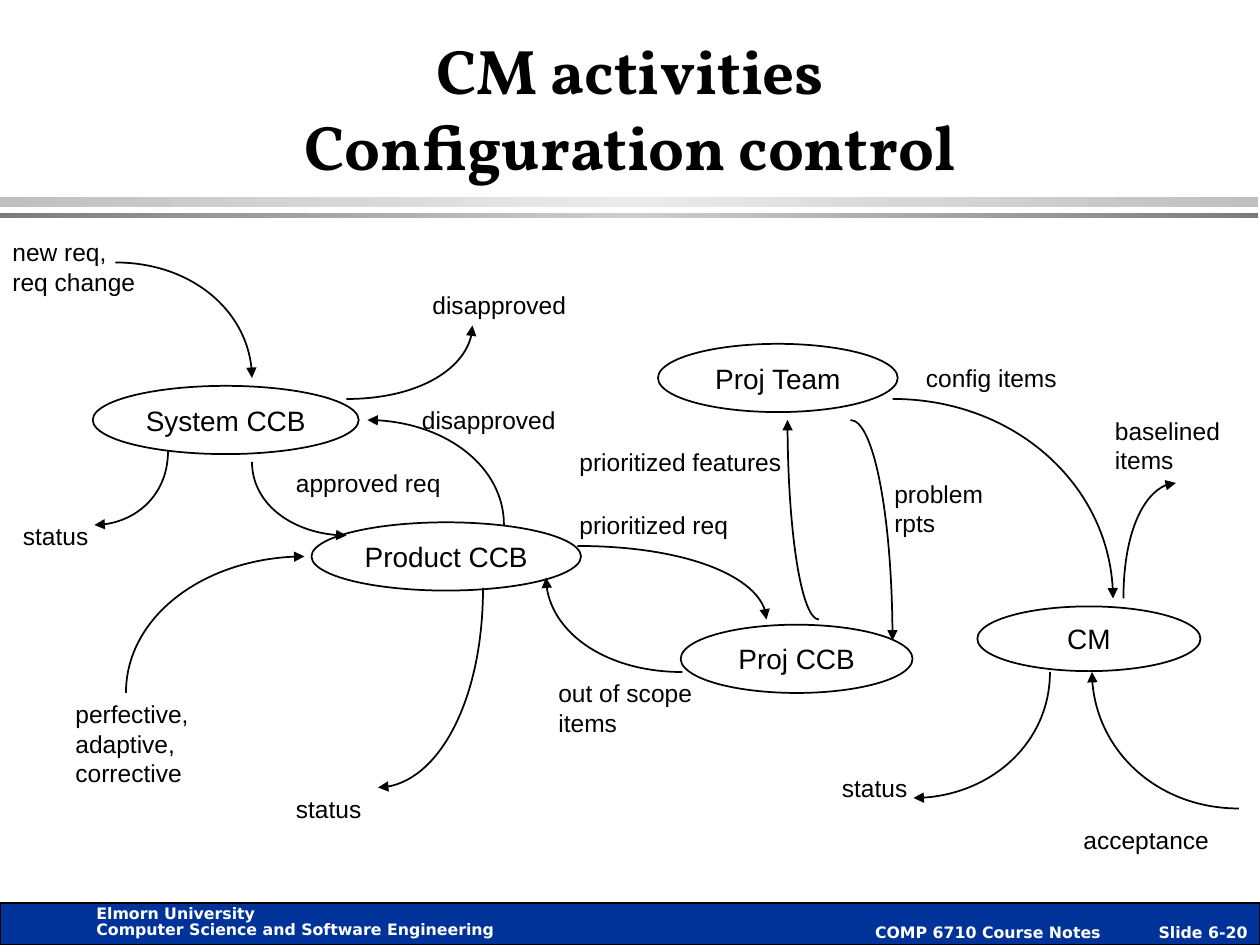
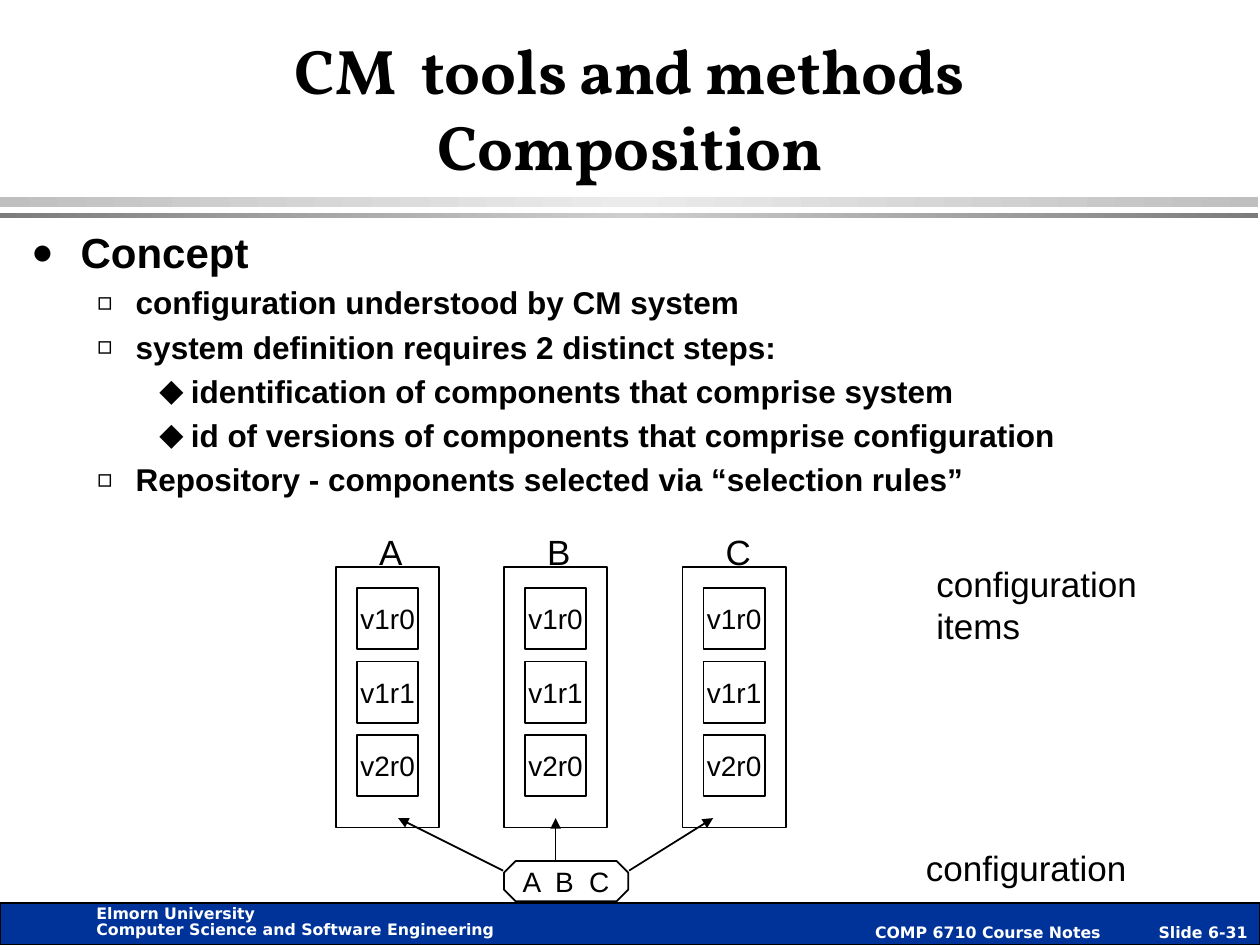
from copy import deepcopy
from dataclasses import dataclass

from lxml.etree import SubElement
from pptx import Presentation
from pptx.dml.color import RGBColor
from pptx.enum.shapes import MSO_CONNECTOR, MSO_SHAPE
from pptx.enum.text import MSO_ANCHOR, MSO_AUTO_SIZE, PP_ALIGN
from pptx.oxml.ns import qn
from pptx.util import Pt

COLORS = {
    "ink": "000000", "paper": "FFFFFF", "footer": "003399",
    "band_edge": "BFBFBF", "band_mid": "EBEBEB",
    "rule_edge": "7C7C7C", "rule_mid": "CECECE",
}
TITLE_FONT, BODY_FONT, FOOTER_FONT = "Vollkorn", "Arial", "DejaVu Sans"
BULLET_FONT = "DejaVu Sans"
KAPPA = 0.55  # Bezier handle length for a quarter ellipse


@dataclass
class Node:
    text: str
    x: float
    y: float
    w: float
    h: float = 39


@dataclass
class Label:
    text: str
    x: float
    y: float
    w: float = 132
    lines: int = 1
    size: float = 14


@dataclass
class Curve:
    """Quarter ellipse with an arrowhead at its end."""
    x1: float
    y1: float
    x2: float
    y2: float
    flat_start: bool = True


@dataclass
class Level:
    indent: float
    hanging: float
    bullet: str
    size: float
    bullet_pct: int = 100


def rgb(name: str) -> RGBColor:
    return RGBColor.from_string(COLORS[name])


# ---- Text ----
def add_text(p, text: str, *, size: float = 14, font: str = BODY_FONT,
             color: str = "ink", bold: bool = False, align=PP_ALIGN.LEFT) -> None:
    p.alignment = align
    for i, line in enumerate(text.split("\n")):
        if i:
            p.add_line_break()
        r = p.add_run()
        r.text = line
        r.font.size, r.font.name, r.font.bold = Pt(size), font, bold
        r.font.color.rgb = rgb(color)


def add_box(s, x: float, y: float, w: float, h: float, wrap: bool = True):
    tf = s.shapes.add_textbox(Pt(x), Pt(y), Pt(w), Pt(h)).text_frame
    tf.word_wrap = wrap
    return tf


def add_label(s, label: Label) -> None:
    height = 7.2 + 1.2 * label.size * label.lines
    tf = add_box(s, label.x, label.y, label.w, height)
    add_text(tf.paragraphs[0], label.text, size=label.size)


def set_indent(p, left: float, hanging: float):
    pPr = p._p.get_or_add_pPr()
    pPr.set("marL", str(Pt(left)))
    pPr.set("indent", str(-Pt(hanging)))
    return pPr


def add_bullet(p, text: str, level: Level) -> None:
    add_text(p, text, size=level.size, bold=True)
    pPr = set_indent(p, level.indent, level.hanging)
    SubElement(SubElement(pPr, qn("a:buClr")), qn("a:srgbClr"), val=COLORS["ink"])
    SubElement(pPr, qn("a:buSzPct"), val=str(level.bullet_pct * 1000))
    SubElement(pPr, qn("a:buFont"), typeface=BULLET_FONT)
    SubElement(pPr, qn("a:buChar"), char=level.bullet)


# ---- Shapes and lines ----
def add_shape(s, kind, x: float, y: float, w: float, h: float, text: str = ""):
    sp = s.shapes.add_shape(kind, Pt(x), Pt(y), Pt(w), Pt(h))
    sp.shadow.inherit = False
    sp.fill.background()
    sp.line.color.rgb, sp.line.width = rgb("ink"), Pt(1)
    if text:
        tf = sp.text_frame
        tf.word_wrap, tf.vertical_anchor = False, MSO_ANCHOR.MIDDLE
        add_text(tf.paragraphs[0], text, size=16, align=PP_ALIGN.CENTER)
    return sp


def make_arrow(line_shape) -> None:
    line_shape.line.color.rgb, line_shape.line.width = rgb("ink"), Pt(1)
    ln = line_shape.element.find(".//" + qn("a:ln"))
    SubElement(ln, qn("a:tailEnd"), type="triangle")


def add_curve(s, c: Curve) -> None:
    fb = s.shapes.build_freeform(Pt(c.x1), Pt(c.y1))
    fb.add_line_segments([(Pt(c.x2), Pt(c.y2))], close=False)
    sp = fb.convert_to_shape()
    sp.shadow.inherit = False
    sp.fill.background()
    make_arrow(sp)
    # Turn the straight segment into a cubic one
    seg = sp.element.find(".//" + qn("a:lnTo"))
    seg.tag = qn("a:cubicBezTo")
    left, top = min(c.x1, c.x2), min(c.y1, c.y2)
    near, far = (KAPPA, 0), (1, 1 - KAPPA)
    if not c.flat_start:
        near, far = near[::-1], far[::-1]
    for i, (fx, fy) in enumerate((near, far)):
        pt = SubElement(seg, qn("a:pt"),
                        x=str(Pt(c.x1 + fx * (c.x2 - c.x1) - left)),
                        y=str(Pt(c.y1 + fy * (c.y2 - c.y1) - top)))
        seg.insert(i, pt)


def add_arrow(s, x1: float, y1: float, x2: float, y2: float) -> None:
    cn = s.shapes.add_connector(MSO_CONNECTOR.STRAIGHT, Pt(x1), Pt(y1), Pt(x2), Pt(y2))
    make_arrow(cn)
    SubElement(cn.element.spPr, qn("a:effectLst"))


# ---- Shared slide frame ----
def add_band(s, y: float, h: float, edge: str, mid: str) -> None:
    sp = add_shape(s, MSO_SHAPE.RECTANGLE, 0, y, 719, h)
    sp.line.fill.background()
    sp.fill.gradient()
    sp.fill.gradient_angle = 0
    stops = sp.element.find(".//" + qn("a:gsLst"))
    stops.insert(1, deepcopy(stops[0]))
    for stop, pos, color in zip(sp.fill.gradient_stops, (0, 0.5, 1), (edge, mid, edge)):
        stop.position, stop.color.rgb = pos, rgb(color)


def add_slide(prs, title: str, number: str):
    s = prs.slides.add_slide(prs.slide_layouts[5])
    add_band(s, 112.5, 5.75, "band_edge", "band_mid")
    add_band(s, 121.5, 3, "rule_edge", "rule_mid")

    # Footer bar, with course and slide number at right
    small = dict(size=9, font=FOOTER_FONT, color="paper", bold=True)
    bar = add_shape(s, MSO_SHAPE.RECTANGLE, 0, 516, 720, 24)
    bar.fill.solid()
    bar.fill.fore_color.rgb, bar.line.width = rgb("footer"), Pt(0.75)
    tf = bar.text_frame
    tf.word_wrap, tf.vertical_anchor = False, MSO_ANCHOR.BOTTOM
    tf.margin_top, tf.margin_bottom = 0, Pt(2)
    p = tf.paragraphs[0]
    add_text(p, f"COMP 6710 Course Notes\tSlide {number}", align=PP_ALIGN.RIGHT, **small)
    set_indent(p, 18, 18)

    # Footer text at left
    tf = add_box(s, 48, 514.8, 242, 25, wrap=False)
    for i, line in enumerate(("Elmorn University",
                              "Computer Science and Software Engineering")):
        p = tf.add_paragraph() if i else tf.paragraphs[0]
        p.line_spacing = Pt(9)
        add_text(p, line, **small)

    # Title
    sp = s.shapes.title
    sp.left, sp.top, sp.width, sp.height = Pt(54), Pt(18), Pt(612), Pt(90)
    tf = sp.text_frame
    tf.auto_size, tf.vertical_anchor = MSO_AUTO_SIZE.NONE, MSO_ANCHOR.BOTTOM
    tf.word_wrap = True
    add_text(tf.paragraphs[0], title, size=36, font=TITLE_FONT, bold=True,
             align=PP_ALIGN.CENTER)
    return s


# ---- Slide: configuration control ----
NODES = [
    Node("System CCB", 53, 220.5, 152),
    Node("Product CCB", 178, 298.5, 154),
    Node("Proj CCB", 389, 357, 132.5),
    Node("Proj Team", 376, 196.5, 137),
    Node("CM", 558.5, 346.5, 127.5, 37),
]
FLOWS = [
    Curve(66, 150, 144, 216),
    Curve(96, 258, 54, 300, False),
    Curve(144, 264, 198, 306, False),
    Curve(72, 396, 174, 318, False),
    Curve(198, 228, 270, 186),
    Curve(288, 300, 210, 240, False),
    Curve(276, 336, 216, 450, False),
    Curve(330, 312, 438, 354),
    Curve(390, 384, 312, 330),
    Curve(486, 240, 510, 366),
    Curve(468, 354, 450, 240),
    Curve(510, 228, 636, 342),
    Curve(600, 384, 522, 456, False),
    Curve(708, 462, 624, 384),
    Curve(642, 342, 672, 276, False),
]
FLOW_LABELS = [
    Label("new req,\nreq change", 0, 132, lines=2),
    Label("status", 6, 294),
    Label("disapproved", 240, 162),
    Label("disapproved", 234, 228),
    Label("approved req", 162, 264),
    Label("perfective,\nadaptive,\ncorrective", 36, 396, lines=3),
    Label("status", 162, 450),
    Label("prioritized features", 324, 252),
    Label("prioritized req", 324, 288),
    Label("out of scope items", 312, 384, 103, 2),
    Label("problem rpts", 504, 270, 91, 2),
    Label("config items", 522, 204, 91),
    Label("baselined items", 630, 234, 85, 2),
    Label("status", 474, 438),
    Label("acceptance", 612, 468, 96),
]


def build_control(prs) -> None:
    s = add_slide(prs, "CM activities\nConfiguration control", "6-20")
    for n in NODES:
        add_shape(s, MSO_SHAPE.OVAL, n.x, n.y, n.w, n.h, n.text)
    for curve in FLOWS:
        add_curve(s, curve)
    for label in FLOW_LABELS:
        add_label(s, label)


# ---- Slide: composition ----
LEVELS = [
    Level(27, 27, "●", 24, 50),
    Level(58.5, 22.5, "▫", 18, 80),
    Level(90, 18, "◆", 18),
]
POINTS = [
    (0, "Concept"),
    (1, "configuration understood by CM system"),
    (1, "system definition requires 2 distinct steps:"),
    (2, "identification of components that comprise system"),
    (2, "id of versions of components that comprise configuration"),
    (1, "Repository - components selected via “selection rules”"),
]
COMPONENTS = {"A": 192, "B": 288, "C": 390}
VERSIONS = ("v1r0", "v1r1", "v2r0")


def build_composition(prs) -> None:
    s = add_slide(prs, "CM  tools and methods\nComposition", "6-31")
    tf = add_box(s, 12, 126, 684, 384)
    for i, (level, text) in enumerate(POINTS):
        p = tf.add_paragraph() if i else tf.paragraphs[0]
        p.space_before = Pt(3.6 if i else 0)
        add_bullet(p, text, LEVELS[level])

    # Components and their versions
    for name, x in COMPONENTS.items():
        add_shape(s, MSO_SHAPE.RECTANGLE, x, 324, 59, 149)
        for row, version in enumerate(VERSIONS):
            add_shape(s, MSO_SHAPE.RECTANGLE, x + 12, 336 + 42 * row, 35, 35, version)
        add_label(s, Label(name, x + 17.5, 299.5, 37, size=20))

    # Configuration that selects one version of each
    octagon = add_shape(s, MSO_SHAPE.OCTAGON, 288, 492, 71, 23, "A  B  C")
    octagon.adjustments[0] = 0.29
    for x1, y1, x2 in ((287.5, 497.5, 227.5), (317.5, 492, 317.5), (359.5, 497.5, 407.5)):
        add_arrow(s, x1, y1, x2, 467.5)
    add_label(s, Label("configuration items", 528, 318, 181, 2, 20))
    add_label(s, Label("configuration", 522, 480, 181, size=20))


prs = Presentation()
prs.slide_width, prs.slide_height = Pt(720), Pt(540)
build_control(prs)
build_composition(prs)
prs.save("out.pptx")
